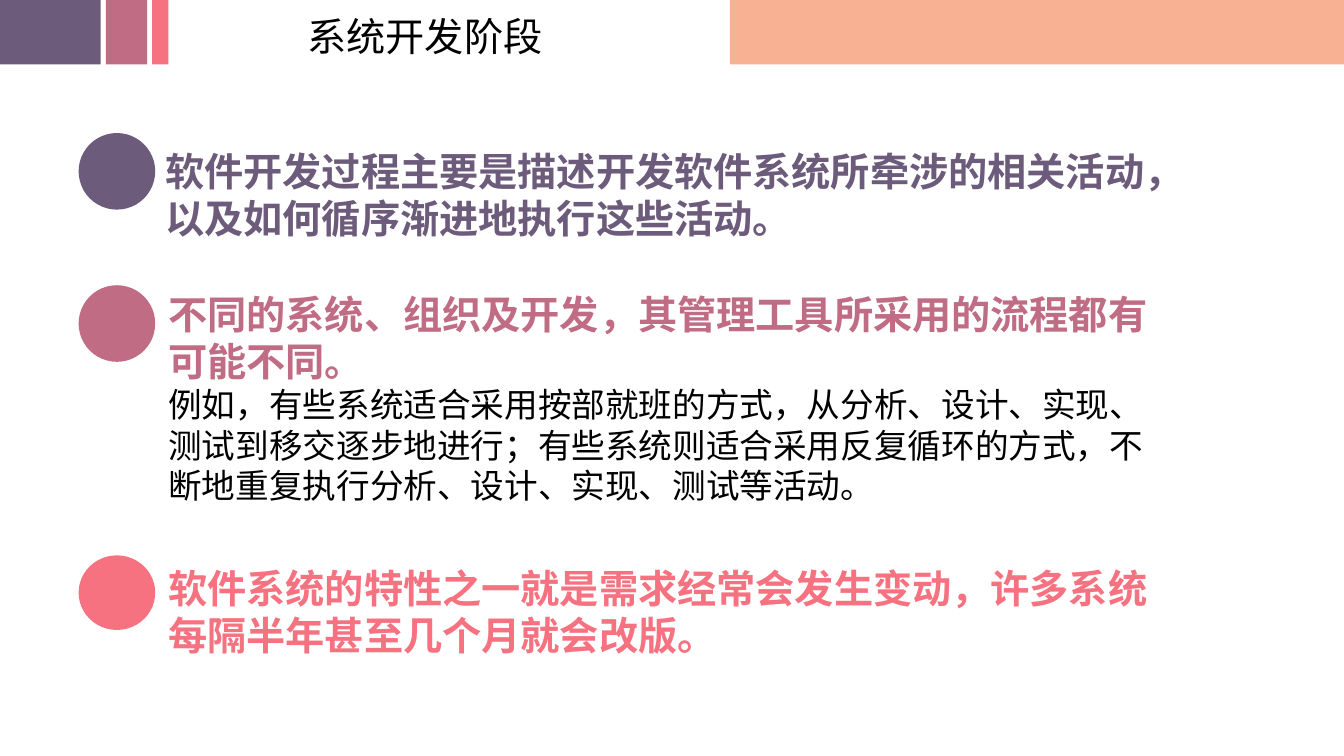
from dataclasses import dataclass

from lxml import etree
from pptx import Presentation
from pptx.dml.color import RGBColor
from pptx.enum.shapes import MSO_SHAPE
from pptx.enum.text import MSO_ANCHOR, MSO_AUTO_SIZE, PP_ALIGN
from pptx.oxml.ns import qn
from pptx.util import Pt

RECTANGLE, OVAL = MSO_SHAPE.RECTANGLE, MSO_SHAPE.OVAL
TOP, LEFT, NO_AUTOFIT = MSO_ANCHOR.TOP, PP_ALIGN.LEFT, MSO_AUTO_SIZE.NONE


@dataclass(frozen=True)
class Theme:
    purple: str = "6C5B7B"
    mauve: str = "C06C84"
    coral: str = "F67280"
    peach: str = "F8B193"
    black: str = "000000"
    heading: int = 28
    detail: int = 24
    line_height: float = 1.2
    chinese: str = "Noto Sans CJK SC"
    latin: str = "Calibri"


THEME = Theme()

# Content; lengths are px, 100 to the inch
PX = 9144
PAGE_SIZE = (1333, 750)
BAND_HEIGHT = 64
TITLE = ("系统开发阶段", (295, 7, 302, 57))
BANDS = [  # left, width, colour
    (724, 609, THEME.peach),
    (0, 100, THEME.purple),
    (105, 41, THEME.mauve),
    (151, 16, THEME.coral),
]
DOT_LEFT, DOT_WIDTH = 78, 76
POINTS = [
    dict(heading="软件开发过程主要是描述开发软件系统所牵涉的相关活动，以及如何循序渐进地执行这些活动。",
         detail=None, color=THEME.purple, font=THEME.chinese,
         area=(154, 141, 1025, 104), dot=(132, 76)),
    dict(heading="不同的系统、组织及开发，其管理工具所采用的流程都有可能不同。",
         detail="例如，有些系统适合采用按部就班的方式，从分析、设计、实现、测试到移交逐步地进行；"
                "有些系统则适合采用反复循环的方式，不断地重复执行分析、设计、实现、测试等活动。",
         color=THEME.mauve, font=THEME.latin,
         area=(157, 283, 1020, 225), dot=(283, 76)),
    dict(heading="软件系统的特性之一就是需求经常会发生变动，许多系统每隔半年甚至几个月就会改版。",
         detail=None, color=THEME.coral, font=THEME.latin,
         area=(157, 555, 1025, 104), dot=(551, 74)),
]


def place(box, area):
    box.left, box.top, box.width, box.height = (length * PX for length in area)


def add_block(page, kind, area, color):
    block = page.shapes.add_shape(kind, *(length * PX for length in area))
    block.shadow.inherit = False
    block.fill.solid()
    block.fill.fore_color.rgb = RGBColor.from_string(color)
    block.line.fill.background()


def prepare(box, area):
    place(box, area)
    frame = box.text_frame
    frame.word_wrap = True
    frame.auto_size = NO_AUTOFIT
    frame.vertical_anchor = TOP
    frame.margin_left = frame.margin_right = 10 * PX
    frame.margin_top = frame.margin_bottom = 5 * PX
    return frame


def write(para, text, *, size, color, font=THEME.chinese, bold=False):
    properties = para._p.get_or_add_pPr()
    properties.set("marL", "0")
    properties.set("indent", "0")
    etree.SubElement(properties, qn("a:buNone"))
    para.alignment = LEFT
    para.space_before = para.space_after = Pt(0)
    para.line_spacing = Pt(size * THEME.line_height)
    span = para.add_run()
    span.text = text
    span.font.name = font
    span.font.size = Pt(size)
    span.font.bold = bold
    span.font.color.rgb = RGBColor.from_string(color)
    east_asian = etree.SubElement(span.font._element, qn("a:ea"))
    east_asian.set("typeface", THEME.chinese)


def main():
    deck = Presentation()
    deck.slide_width, deck.slide_height = (length * PX for length in PAGE_SIZE)
    # The comparison layout gives a title and four body placeholders
    page = deck.slides.add_slide(deck.slide_layouts[4])
    title, *bodies = page.placeholders

    # Top band and title
    for left, width, color in BANDS:
        add_block(page, RECTANGLE, (left, 0, width, BAND_HEIGHT), color)
    title_text, title_area = TITLE
    write(prepare(title, title_area).paragraphs[0], title_text,
          size=THEME.heading, color=THEME.black)

    # Points, each with its dot
    for body, point in zip(bodies, POINTS):
        frame = prepare(body, point["area"])
        write(frame.paragraphs[0], point["heading"], size=THEME.heading,
              color=point["color"], font=point["font"], bold=True)
        if point["detail"]:
            write(frame.add_paragraph(), point["detail"],
                  size=THEME.detail, color=THEME.black)
        dot_top, dot_height = point["dot"]
        add_block(page, OVAL, (DOT_LEFT, dot_top, DOT_WIDTH, dot_height), point["color"])

    # Unused placeholders
    for body in bodies[len(POINTS):]:
        body._element.getparent().remove(body._element)

    deck.save("out.pptx")


if __name__ == "__main__":
    main()
